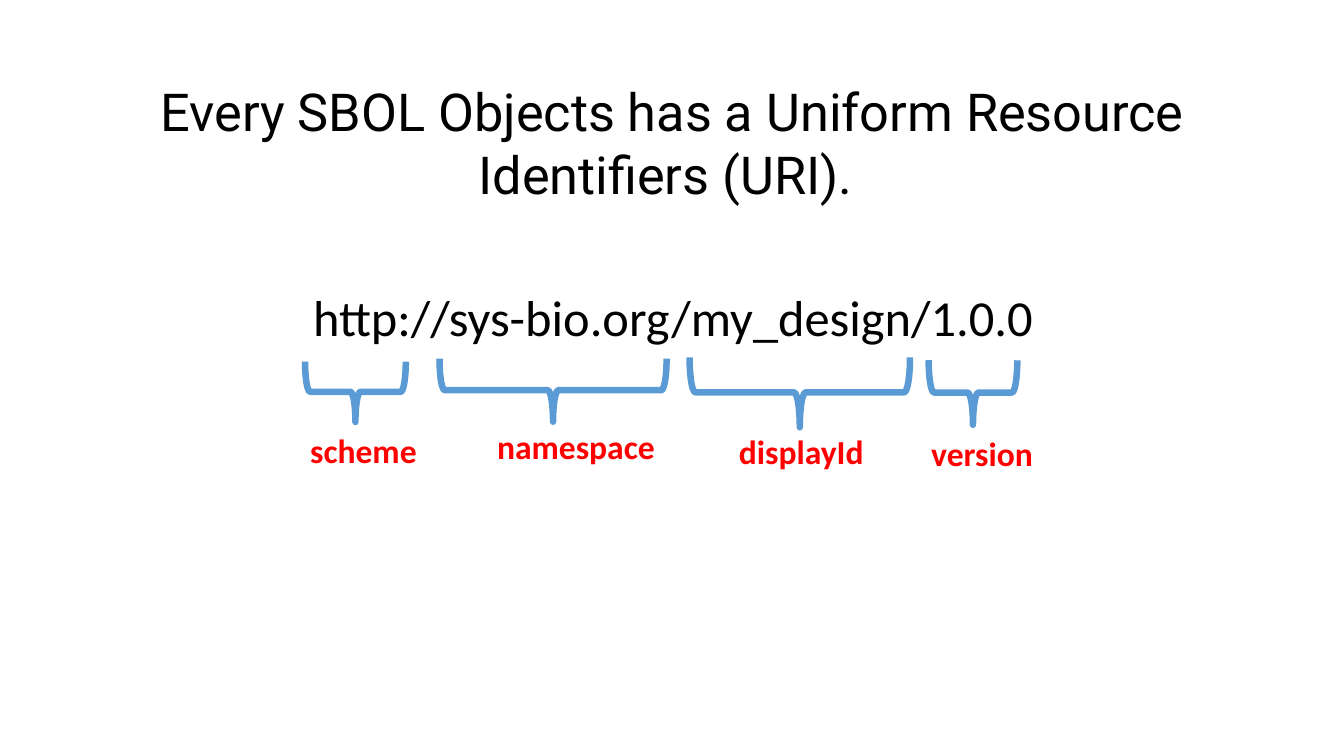
import dataclasses

import pptx
import pptx.dml.color
import pptx.enum.shapes
import pptx.enum.text
import pptx.util

Pt = pptx.util.Pt
Align = pptx.enum.text.PP_ALIGN


@dataclasses.dataclass(frozen=True)
class Theme:
    ink: str = "000000"
    brace: str = "5B9BD5"
    label: str = "FF0000"
    title_font: str = "Roboto"
    body_font: str = "Calibri"
    title_size: float = 28
    uri_size: float = 27
    label_size: float = 18
    brace_width: float = 3.5


class SlideBuilder:
    def __init__(self, slide, theme):
        self.slide = slide
        self.theme = theme

    def color(self, value):
        return pptx.dml.color.RGBColor.from_string(value)

    def text(self, words, box, font, size, color, bold=False, align=Align.LEFT, wrap=False, insets=(7.2, 3.6)):
        shape = self.slide.shapes.add_textbox(*map(Pt, box))
        frame = shape.text_frame
        frame.word_wrap = wrap
        frame.margin_left = frame.margin_right = Pt(insets[0])
        frame.margin_top = frame.margin_bottom = Pt(insets[1])
        paragraph = frame.paragraphs[0]
        paragraph.text = words
        paragraph.alignment = align
        paragraph.font.name = font
        paragraph.font.size = Pt(size)
        paragraph.font.bold = bold
        paragraph.font.color.rgb = self.color(color)

    def title(self, words, box):
        theme = self.theme
        self.text(words, box, theme.title_font, theme.title_size, theme.ink,
                  align=Align.CENTER, wrap=True, insets=(7.2, 7.2))

    def uri(self, words, box):
        self.text(words, box, self.theme.body_font, self.theme.uri_size, self.theme.ink)

    def label(self, words, box):
        theme = self.theme
        self.text(words, box, theme.body_font, theme.label_size, theme.label, bold=True)

    def brace_below(self, left, top, width, height):
        shift = (width - height) / 2
        shape = self.slide.shapes.add_shape(
            pptx.enum.shapes.MSO_SHAPE.RIGHT_BRACE,
            Pt(left + shift), Pt(top - shift), Pt(height), Pt(width))
        shape.rotation = 90
        shape.shadow.inherit = False
        shape.fill.background()
        shape.line.color.rgb = self.color(self.theme.brace)
        shape.line.width = Pt(self.theme.brace_width)


def main():
    presentation = pptx.Presentation()
    presentation.slide_width = Pt(720)
    presentation.slide_height = Pt(405)
    slide = presentation.slides.add_slide(presentation.slide_layouts[6])
    builder = SlideBuilder(slide, Theme())

    builder.title("Every SBOL Objects has a Uniform Resource Identifiers (URI). ", (24.5, 35.3, 671, 45.4))
    builder.uri("http://sys-bio.org/my_design/1.0.0", (160.6, 149.8, 403.9, 40.3))

    label_height = 28.8
    uri_parts = [
        ("scheme", (163.4, 193.7, 54, 32.4), (159.1, 226.8, 72)),
        ("namespace", (235.4, 192.2, 121.7, 33.8), (259.2, 224.6, 99.4)),
        ("displayId", (369.4, 191.5, 118.1, 37.4), (388.8, 227.5, 82.1)),
        ("version", (497.5, 193, 47.5, 34.6), (491.8, 228.2, 69.1)),
    ]
    for name, brace_box, label_box in uri_parts:
        builder.brace_below(*brace_box)
        builder.label(name, (*label_box, label_height))

    presentation.save("out.pptx")


if __name__ == "__main__":
    main()
